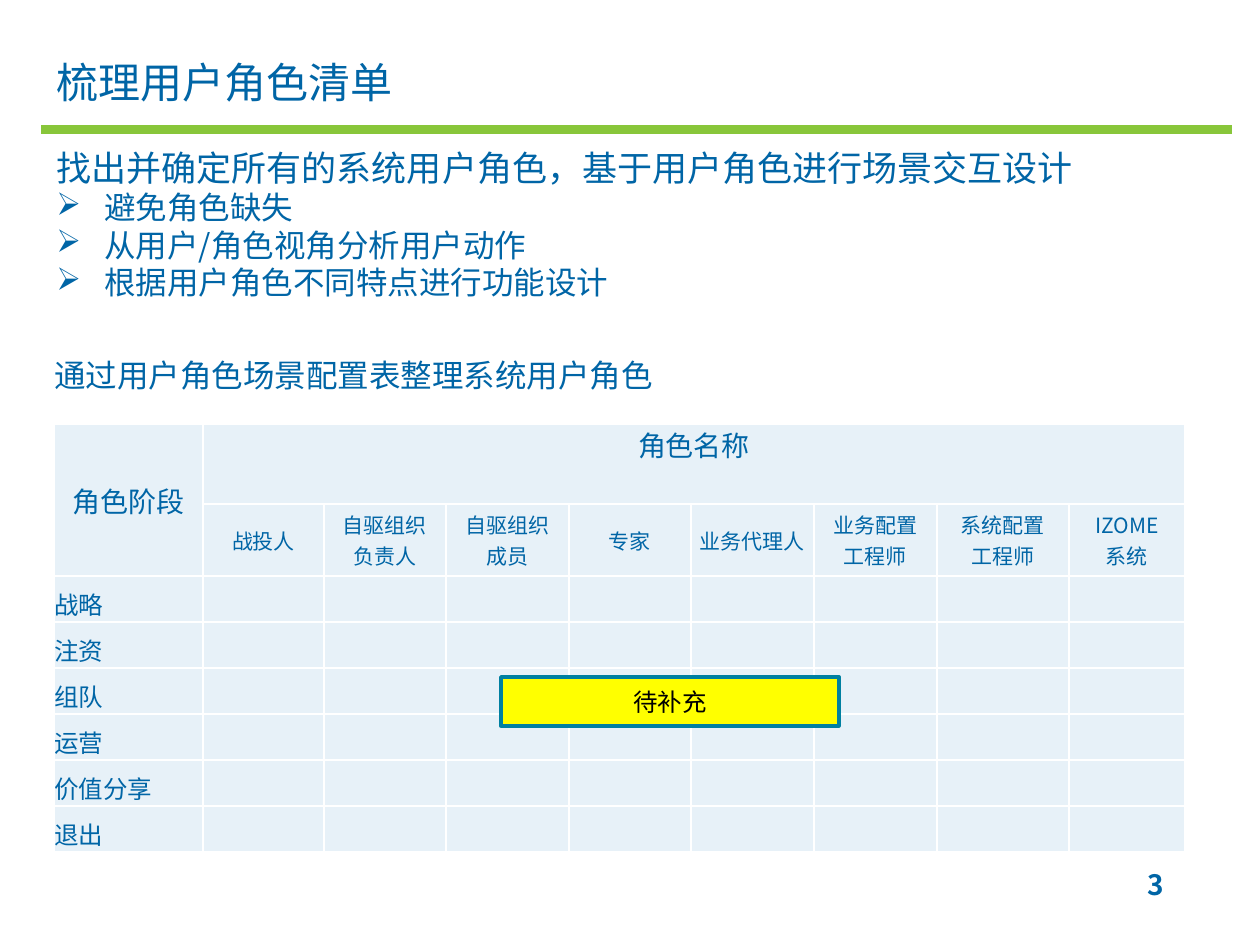
from dataclasses import dataclass

from lxml import etree
from pptx import Presentation
from pptx import util as u
from pptx.dml.color import RGBColor
from pptx.enum import shapes, text
from pptx.oxml.ns import qn

PX = 914400 / 126
FONT = "Noto Sans CJK SC"
COLORS = {
    "blue": "0065A6", "green": "88C63A", "cell": "E7F1F8", "white": "FFFFFF",
    "yellow": "FFFF00", "teal": "0080A1", "black": "000000",
}
LEFT, CENTER, RIGHT = text.PP_ALIGN.LEFT, text.PP_ALIGN.CENTER, text.PP_ALIGN.RIGHT
TOP, MIDDLE, BOTTOM = (text.MSO_ANCHOR.TOP, text.MSO_ANCHOR.MIDDLE,
                       text.MSO_ANCHOR.BOTTOM)

COLUMNS = [149, 121, 122, 123, 122, 123, 123, 132, 116]
ROWS = [80, 72] + [46] * 6
ROLES = ["战投人", "自驱组织\n负责人", "自驱组织\n成员", "专家", "业务代理人",
         "业务配置\n工程师", "系统配置\n工程师", "IZOME\n系统"]
STAGES = ["战略", "注资", "组队", "运营", "价值分享", "退出"]


@dataclass
class Line:
    text: str
    size: int
    align: text.PP_ALIGN = LEFT
    color: str = "blue"
    bold: bool = False
    bullet: bool = False
    tight: bool = False


@dataclass
class Box:
    x: int
    y: int
    w: int
    h: int

    def emu(self) -> list[int]:
        return [px(v) for v in (self.x, self.y, self.w, self.h)]


def px(n: int) -> u.Emu:
    return u.Emu(round(n * PX))


def rgb(name: str) -> RGBColor:
    return RGBColor.from_string(COLORS[name])


def add_bullet(p) -> None:
    pPr = p._p.get_or_add_pPr()
    pPr.set("marL", str(px(48)))
    pPr.set("indent", str(-px(48)))
    bullet = etree.Element(qn("a:buChar"), char="➢")
    pPr.find(qn("a:defRPr")).addprevious(bullet)


def write(tf, lines: list[Line], anchor=TOP) -> None:
    """Fill a text frame with one paragraph per line."""
    tf.word_wrap = True
    tf.vertical_anchor = anchor
    for i, line in enumerate(lines):
        p = tf.paragraphs[0] if i == 0 else tf.add_paragraph()
        p.text = line.text
        p.alignment = line.align
        if line.tight:
            p.line_spacing = 0.9
            p.space_before = u.Pt(2)
        f = p.font
        f.name, f.size, f.bold = FONT, u.Pt(line.size), line.bold
        f.color.rgb = rgb(line.color)
        etree.SubElement(f._element, qn("a:ea"), typeface=FONT)
        if line.bullet:
            add_bullet(p)


def add_text(slide, box: Box, lines: list[Line]) -> None:
    write(slide.shapes.add_textbox(*box.emu()).text_frame, lines)


def add_rect(slide, box: Box, fill: str, line: str | None = None):
    sp = slide.shapes.add_shape(shapes.MSO_SHAPE.RECTANGLE, *box.emu())
    sp.shadow.inherit = False
    sp.fill.solid()
    sp.fill.fore_color.rgb = rgb(fill)
    if line:
        sp.line.color.rgb = rgb(line)
        sp.line.width = u.Pt(2)
    else:
        sp.line.fill.background()
    return sp


def style_cell(cell) -> None:
    """Give a cell white borders, a pale fill and no margins."""
    tcPr = cell._tc.get_or_add_tcPr()
    for side in ("lnL", "lnR", "lnT", "lnB"):
        ln = etree.SubElement(tcPr, qn(f"a:{side}"), w=str(u.Pt(1)))
        fill = etree.SubElement(ln, qn("a:solidFill"))
        etree.SubElement(fill, qn("a:srgbClr"), val=COLORS["white"])
    cell.fill.solid()
    cell.fill.fore_color.rgb = rgb("cell")
    cell.margin_left = cell.margin_right = 0
    cell.margin_top = cell.margin_bottom = 0


def write_cell(cell, content: str, size: int, align=CENTER, anchor=MIDDLE) -> None:
    lines = [Line(part, size, align) for part in content.split("\n")]
    write(cell.text_frame, lines)
    cell.vertical_anchor = anchor


def add_role_table(slide) -> None:
    box = Box(54, 424, sum(COLUMNS), sum(ROWS))
    table = slide.shapes.add_table(len(ROWS), len(COLUMNS), *box.emu()).table
    for column, width in zip(table.columns, COLUMNS):
        column.width = px(width)
    for row, height in zip(table.rows, ROWS):
        row.height = px(height)
    for cell in table.iter_cells():
        style_cell(cell)
        write_cell(cell, "", 14)
    table.cell(0, 0).merge(table.cell(1, 0))
    table.cell(0, 1).merge(table.cell(0, len(ROLES)))
    write_cell(table.cell(0, 0), "角色阶段", 16)
    write_cell(table.cell(0, 1), "角色名称", 16, anchor=TOP)
    for c, role in enumerate(ROLES, 1):
        write_cell(table.cell(1, c), role, 12)
    for r, stage in enumerate(STAGES, 2):
        write_cell(table.cell(r, 0), stage, 14, LEFT, BOTTOM)


def main() -> None:
    prs = Presentation()
    prs.slide_width, prs.slide_height = u.Inches(10), u.Inches(7.5)
    slide = prs.slides.add_slide(prs.slide_layouts[5])

    add_rect(slide, Box(41, 125, 1191, 9), "green")
    title = slide.shapes.title
    title.left, title.top, title.width, title.height = Box(44, 48, 1181, 67).emu()
    write(title.text_frame, [Line("梳理用户角色清单", 24)], MIDDLE)

    goals = ["避免角色缺失", "从用户/角色视角分析用户动作", "根据用户角色不同特点进行功能设计"]
    add_text(slide, Box(44, 145, 1181, 208), [
        Line("找出并确定所有的系统用户角色，基于用户角色进行场景交互设计", 20, tight=True),
        *(Line(goal, 18, bullet=True, tight=True) for goal in goals),
    ])
    add_text(slide, Box(882, 861, 294, 66), [Line("3", 16, RIGHT, bold=True)])
    add_text(slide, Box(42, 354, 1181, 69),
             [Line("通过用户角色场景配置表整理系统用户角色", 18, tight=True)])
    add_role_table(slide)

    note = add_rect(slide, Box(501, 677, 338, 49), "yellow", "teal")
    write(note.text_frame, [Line("待补充", 14, CENTER, "black")], MIDDLE)
    prs.save("out.pptx")


if __name__ == "__main__":
    main()
